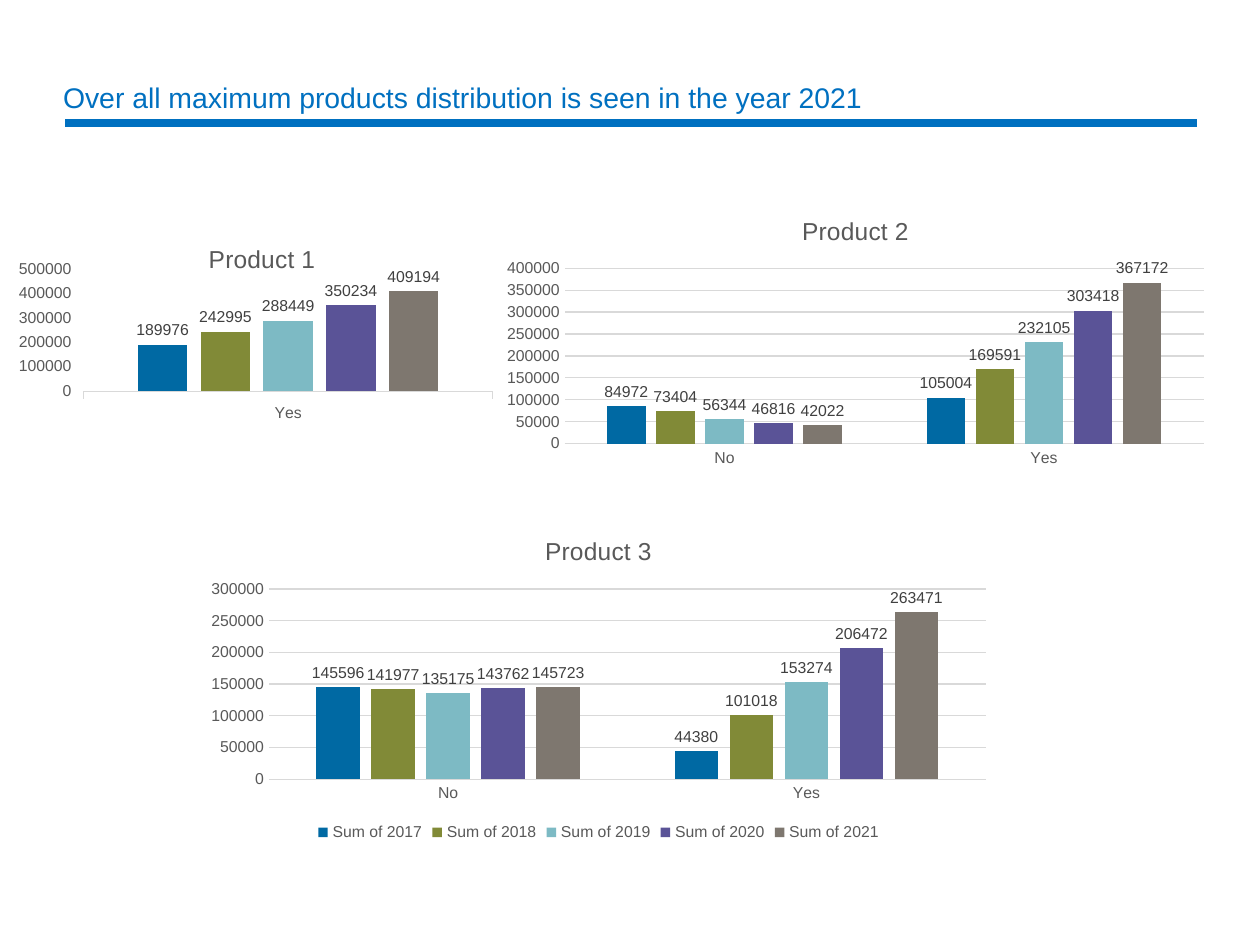
"""Builds the slide on yearly distribution of three products."""
import dataclasses

import pptx
import pptx.chart.data
import pptx.dml.color
import pptx.enum.chart
import pptx.enum.shapes
import pptx.enum.text
import pptx.oxml
import pptx.oxml.ns
import pptx.util


@dataclasses.dataclass(frozen=True)
class Theme:
    font: str = "Arial"
    accent: str = "0070C0"
    muted: str = "595959"
    label: str = "404040"
    grid: str = "D9D9D9"
    series: tuple = ("0069A3", "818A37", "7DBAC4", "5A5397", "7E776F")
    title_size: float = 16.2
    chart_title_size: float = 14
    small_size: float = 9
    rule_width: float = 4.5
    hairline: float = 0.75


@dataclasses.dataclass(frozen=True)
class ProductChart:
    title: str
    box: tuple
    categories: tuple
    rows: tuple
    maximum: int
    step: int
    series_name: str = "Series {}"
    first_number: int = 1
    gridlines: bool = True
    legend: bool = False
    plot_area: tuple = ()


THEME = Theme()
WIDTH, HEIGHT = 10, 7.5
PRODUCTS = (
    ProductChart("Product 1", (0, 0.2413, 0.416, 0.216), ("Yes",),
                 ((189976, 242995, 288449, 350234, 409194),), 500000, 100000,
                 gridlines=False, plot_area=(0.16, 0.2, 0.78, 0.6)),
    ProductChart("Product 2", (0.391, 0.2107, 0.576, 0.2893), ("No", "Yes"),
                 ((84972, 73404, 56344, 46816, 42022),
                  (105004, 169591, 232105, 303418, 367172)), 400000, 50000),
    ProductChart("Product 3", (0.155, 0.548, 0.64, 0.348), ("No", "Yes"),
                 ((145596, 141977, 135175, 143762, 145723),
                  (44380, 101018, 153274, 206472, 263471)), 300000, 50000,
                 series_name="Sum of {}", first_number=2017, legend=True),
)


def color(value):
    return pptx.dml.color.RGBColor.from_string(value)


def place(box):
    """Turn shares of the slide's size into lengths."""
    return [pptx.util.Inches(share * size)
            for share, size in zip(box, (WIDTH, HEIGHT) * 2)]


def style_font(font, size, value):
    font.name = THEME.font
    font.size = pptx.util.Pt(size)
    font.bold = False
    font.color.rgb = color(value)


def style_line(line, width, value):
    line.width = pptx.util.Pt(width)
    line.color.rgb = color(value)


def add_title(slide, text):
    title = slide.shapes.title
    title.left, title.top, title.width, title.height = place(
        (0.05, 0.085, 0.9, 0.04))
    frame = title.text_frame
    frame.text = text
    frame.word_wrap = True
    frame.auto_size = pptx.enum.text.MSO_AUTO_SIZE.NONE
    frame.vertical_anchor = pptx.enum.text.MSO_ANCHOR.MIDDLE
    frame.margin_left = frame.margin_right = 0
    paragraph = frame.paragraphs[0]
    paragraph.alignment = pptx.enum.text.PP_ALIGN.LEFT
    paragraph.line_spacing = 0.9
    style_font(paragraph.runs[0].font, THEME.title_size, THEME.accent)


def add_rule(slide):
    left, top, right, bottom = place((0.052, 0.1303, 0.95, 0.1303))
    rule = slide.shapes.add_connector(
        pptx.enum.shapes.MSO_CONNECTOR.STRAIGHT, left, top, right, bottom)
    style_line(rule.line, THEME.rule_width, THEME.accent)
    properties = rule._element.spPr
    properties.append(pptx.oxml.parse_xml(
        f'<a:effectLst {pptx.oxml.ns.nsdecls("a")}/>'))


def style_axes(chart, product):
    ticks = pptx.enum.chart.XL_TICK_MARK
    category, value = chart.category_axis, chart.value_axis
    for axis in (category, value):
        style_font(axis.tick_labels.font, THEME.small_size, THEME.muted)
        axis.major_tick_mark = ticks.NONE if product.gridlines else ticks.OUTSIDE
        axis.minor_tick_mark = ticks.NONE
    style_line(category.format.line, THEME.hairline, THEME.grid)
    value.format.line.fill.background()
    value.minimum_scale = 0
    value.maximum_scale = product.maximum
    value.major_unit = product.step
    value.has_major_gridlines = product.gridlines
    if product.gridlines:
        style_line(value.major_gridlines.format.line, THEME.hairline, THEME.grid)


def style_columns(plot):
    plot.gap_width, plot.overlap = 219, -27
    plot.vary_by_categories = False
    for series, fill in zip(plot.series, THEME.series):
        series.format.fill.solid()
        series.format.fill.fore_color.rgb = color(fill)
        labels = series.data_labels
        labels.show_value = True
        labels.position = pptx.enum.chart.XL_LABEL_POSITION.OUTSIDE_END
        style_font(labels.font, THEME.small_size, THEME.label)


def fix_plot_area(chart, shares):
    """Set the inner plot area as shares of the chart's size."""
    plot_area = chart._chartSpace.chart.plotArea
    for layout in plot_area.findall(pptx.oxml.ns.qn("c:layout")):
        plot_area.remove(layout)
    modes = '<c:xMode val="edge"/><c:yMode val="edge"/>'
    sizes = "".join(f'<c:{name} val="{share}"/>'
                    for name, share in zip("xywh", shares))
    plot_area.insert(0, pptx.oxml.parse_xml(
        f'<c:layout {pptx.oxml.ns.nsdecls("c")}><c:manualLayout>'
        f'<c:layoutTarget val="inner"/>{modes}{sizes}'
        '</c:manualLayout></c:layout>'))


def add_product_chart(slide, product):
    data = pptx.chart.data.CategoryChartData()
    data.categories = product.categories
    for number, values in enumerate(zip(*product.rows), product.first_number):
        data.add_series(product.series_name.format(number), values)
    chart = slide.shapes.add_chart(
        pptx.enum.chart.XL_CHART_TYPE.COLUMN_CLUSTERED,
        *place(product.box), data).chart
    style_font(chart.font, THEME.small_size, THEME.muted)
    chart.has_title = True
    title = chart.chart_title.text_frame
    title.text = product.title
    style_font(title.paragraphs[0].runs[0].font,
               THEME.chart_title_size, THEME.muted)
    style_axes(chart, product)
    style_columns(chart.plots[0])
    chart.has_legend = product.legend
    if product.legend:
        chart.legend.position = pptx.enum.chart.XL_LEGEND_POSITION.BOTTOM
        chart.legend.include_in_layout = False
        style_font(chart.legend.font, THEME.small_size, THEME.muted)
    if product.plot_area:
        fix_plot_area(chart, product.plot_area)


def main():
    presentation = pptx.Presentation()
    presentation.slide_width = pptx.util.Inches(WIDTH)
    presentation.slide_height = pptx.util.Inches(HEIGHT)
    slide = presentation.slides.add_slide(presentation.slide_layouts[5])
    add_rule(slide)
    add_title(slide, "Over all maximum products distribution is seen in the year 2021")
    for product in PRODUCTS:
        add_product_chart(slide, product)
    presentation.save("out.pptx")


main()
